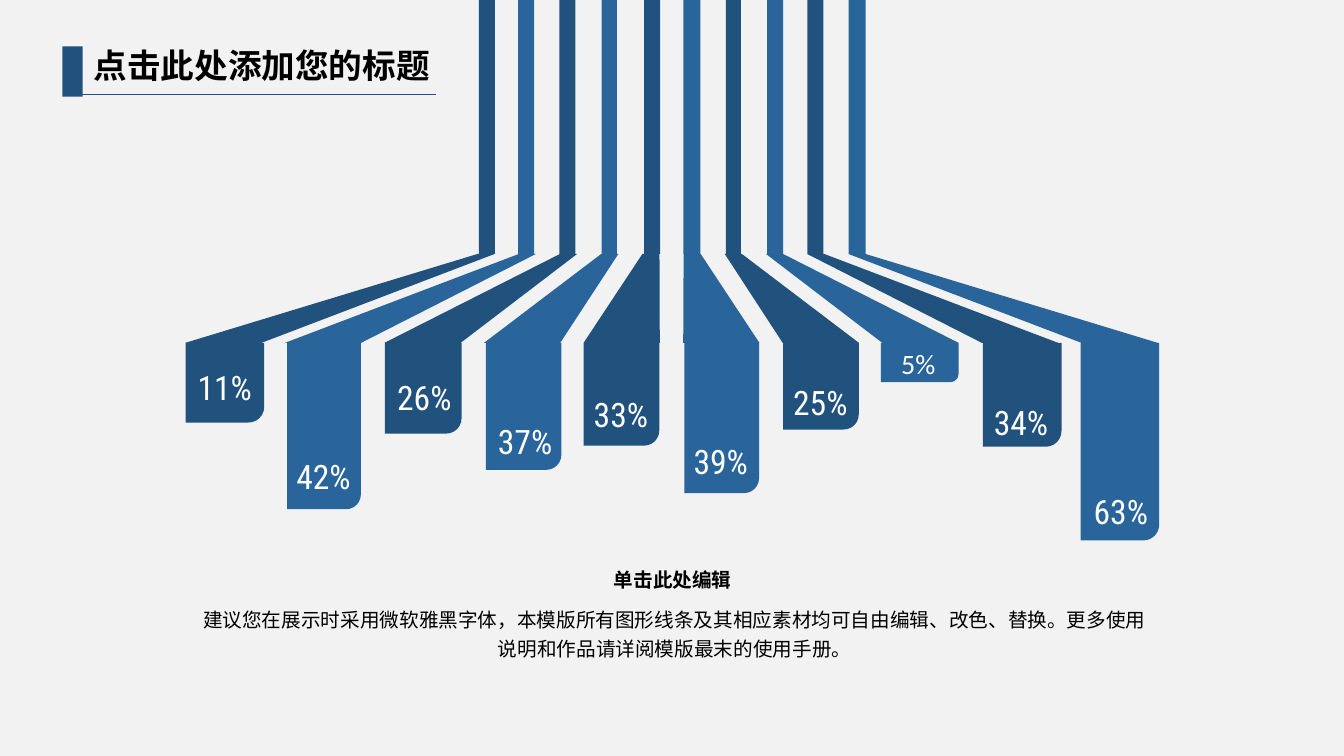
"""Build a slide of ten ribbons that fan out into hanging percentage bars."""
from dataclasses import dataclass

from lxml import etree
from pptx import Presentation
from pptx.dml.color import RGBColor
from pptx.enum.shapes import MSO_CONNECTOR, MSO_SHAPE
from pptx.enum.text import MSO_ANCHOR, PP_ALIGN
from pptx.oxml.ns import qn
from pptx.shapes.autoshape import Shape
from pptx.slide import Slide
from pptx.util import Pt

RECTANGLE = MSO_SHAPE.RECTANGLE
ROUND_CORNER = MSO_SHAPE.ROUND_1_RECTANGLE
STRAIGHT = MSO_CONNECTOR.STRAIGHT
LEFT, CENTER = PP_ALIGN.LEFT, PP_ALIGN.CENTER
TOP, MIDDLE = MSO_ANCHOR.TOP, MSO_ANCHOR.MIDDLE

NAVY, BLUE = "21517D", "29659B"
WHITE, BLACK, BACKGROUND = "FFFFFF", "000000", "F2F2F2"
CHINESE_FONT, NUMBER_FONT = "Noto Sans CJK SC", "Roboto Condensed"

FAN_TOP, BAR_TOP = 181.4, 244.9
FAN_UPPER_LEFT, FAN_UPPER_STEP, FAN_UPPER_WIDTH = 341.3, 29.4, 12.2
FAN_LOWER_LEFT, FAN_LOWER_STEP, FAN_LOWER_WIDTH = 132.5, 71.1, 54.4
LABEL_WIDTH = 53.3


@dataclass(frozen=True)
class Box:
    left: float
    top: float
    width: float
    height: float


@dataclass(frozen=True)
class TextStyle:
    size: float
    font: str = CHINESE_FONT
    color: str = BLACK
    bold: bool = False
    alignment: PP_ALIGN = CENTER
    anchor: MSO_ANCHOR = TOP
    line_spacing: float = 1.0
    insets: tuple[float, float, float, float] = (9.4, 3.6, 9.4, 5)


@dataclass(frozen=True)
class Ribbon:
    strip_left: float
    strip_width: float
    bar_left: float
    bar_width: float
    bar_height: float
    label_left: float
    label_top: float
    label: str
    label_height: float = 43.9
    label_size: float = 24
    label_font: str = NUMBER_FONT


RIBBONS = [
    Ribbon(342, 11.5, 132.5, 56.2, 56.9, 133.9, 254.2, "11%"),
    Ribbon(370.1, 11.5, 205.2, 52.6, 118.8, 204.5, 318.2, "42%"),
    Ribbon(399.6, 11.5, 275, 54.7, 64.8, 276.5, 261.4, "26%"),
    Ribbon(429.8, 10.8, 347, 54, 90.7, 348.5, 293, "37%"),
    Ribbon(460.1, 11.5, 416.9, 54, 73.4, 416.9, 273.6, "33%"),
    Ribbon(488.2, 12.2, 488.9, 53.3, 107.3, 488.2, 307.4, "39%"),
    Ribbon(518.4, 10.8, 559.4, 54, 61.9, 559.4, 265, "25%"),
    Ribbon(547.9, 11.5, 629.3, 55.4, 28.1, 629.3, 239.8, "5%", 38.9, 20, "Calibri"),
    Ribbon(576.7, 11.5, 702, 56.2, 74.2, 702.7, 279.4, "34%"),
    Ribbon(606.2, 12.2, 771.8, 56.2, 141.1, 774, 343.4, "63%"),
]


def rgb(color: str) -> RGBColor:
    """Turn a hex string into a colour."""
    return RGBColor.from_string(color)


def paint(shape: Shape, color: str) -> None:
    """Give a shape a flat fill without line or shadow."""
    shape.fill.solid()
    shape.fill.fore_color.rgb = rgb(color)
    shape.line.fill.background()
    shape.shadow.inherit = False


def add_block(slide: Slide, kind: MSO_SHAPE, box: Box, color: str) -> Shape:
    """Add a filled preset shape."""
    shape = slide.shapes.add_shape(
        kind, Pt(box.left), Pt(box.top), Pt(box.width), Pt(box.height)
    )
    paint(shape, color)
    return shape


def add_text(slide: Slide, box: Box, text: str, style: TextStyle) -> None:
    """Add a wrapped text box holding one paragraph."""
    shape = slide.shapes.add_textbox(
        Pt(box.left), Pt(box.top), Pt(box.width), Pt(box.height)
    )
    frame = shape.text_frame
    frame.word_wrap = True
    frame.vertical_anchor = style.anchor
    left, top, right, bottom = map(Pt, style.insets)
    frame.margin_left, frame.margin_top = left, top
    frame.margin_right, frame.margin_bottom = right, bottom
    paragraph = frame.paragraphs[0]
    paragraph.text = text
    paragraph.alignment = style.alignment
    paragraph.line_spacing = style.line_spacing
    font = paragraph.font
    font.size = Pt(style.size)
    font.bold = style.bold
    font.color.rgb = rgb(style.color)
    font.name = style.font
    properties = paragraph._p.pPr.find(qn("a:defRPr"))
    etree.SubElement(properties, qn("a:ea")).set("typeface", style.font)


def add_fan(slide: Slide, index: int, color: str) -> None:
    """Add the slanted piece joining a strip to its bar."""
    upper = FAN_UPPER_LEFT + index * FAN_UPPER_STEP
    lower = FAN_LOWER_LEFT + index * FAN_LOWER_STEP
    builder = slide.shapes.build_freeform(Pt(lower), Pt(BAR_TOP))
    builder.add_line_segments(
        [
            (Pt(lower + FAN_LOWER_WIDTH), Pt(BAR_TOP)),
            (Pt(upper + FAN_UPPER_WIDTH), Pt(FAN_TOP)),
            (Pt(upper), Pt(FAN_TOP)),
        ],
        close=True,
    )
    paint(builder.convert_to_shape(), color)


def add_ribbon(slide: Slide, index: int, ribbon: Ribbon) -> None:
    """Add a strip, its fan, its bar and its label."""
    color = (NAVY, BLUE)[index % 2]
    strip = Box(ribbon.strip_left, 0, ribbon.strip_width, FAN_TOP)
    add_block(slide, RECTANGLE, strip, color)
    add_fan(slide, index, color)
    bar_box = Box(ribbon.bar_left, BAR_TOP, ribbon.bar_width, ribbon.bar_height)
    bar = add_block(slide, ROUND_CORNER, bar_box, color)
    bar.adjustments[0] = 0.2
    bar.rotation = 180
    bar._element.spPr.find(qn("a:xfrm")).set("flipH", "1")
    label = Box(ribbon.label_left, ribbon.label_top, LABEL_WIDTH, ribbon.label_height)
    style = TextStyle(ribbon.label_size, ribbon.label_font, WHITE,
                      anchor=MIDDLE, insets=(0, 7.2, 0, 7.2))
    add_text(slide, label, ribbon.label, style)


def add_header(slide: Slide) -> None:
    """Add the title with its marker and underline."""
    add_block(slide, RECTANGLE, Box(44.6, 33.1, 14.4, 36), NAVY)
    underline = slide.shapes.add_connector(
        STRAIGHT, Pt(54.7), Pt(67.7), Pt(311.8), Pt(67.7)
    )
    underline.line.color.rgb = rgb(NAVY)
    underline.line.width = Pt(0.5)
    etree.SubElement(underline._element.spPr, qn("a:effectLst"))
    style = TextStyle(24, bold=True, alignment=LEFT, insets=(7.2, 3.6, 7.2, 3.6))
    add_text(slide, Box(59.8, 28.8, 282.2, 36), "点击此处添加您的标题", style)


def main() -> None:
    """Create the presentation and save it."""
    presentation = Presentation()
    presentation.slide_width, presentation.slide_height = Pt(960), Pt(540)
    slide = presentation.slides.add_slide(presentation.slide_layouts[6])
    slide.background.fill.solid()
    slide.background.fill.fore_color.rgb = rgb(BACKGROUND)
    for index, ribbon in enumerate(RIBBONS):
        add_ribbon(slide, index, ribbon)
    add_text(slide, Box(132.5, 403.9, 696.2, 23.8), "单击此处编辑",
             TextStyle(14, bold=True, line_spacing=0.9))
    add_text(slide, Box(133.9, 427.7, 696.2, 67.7),
             "建议您在展示时采用微软雅黑字体，本模版所有图形线条及其相应素材均可自由编辑、改色、替换。"
             "更多使用说明和作品请详阅模版最末的使用手册。",
             TextStyle(14, line_spacing=1.2))
    add_header(slide)
    presentation.save("out.pptx")


if __name__ == "__main__":
    main()
